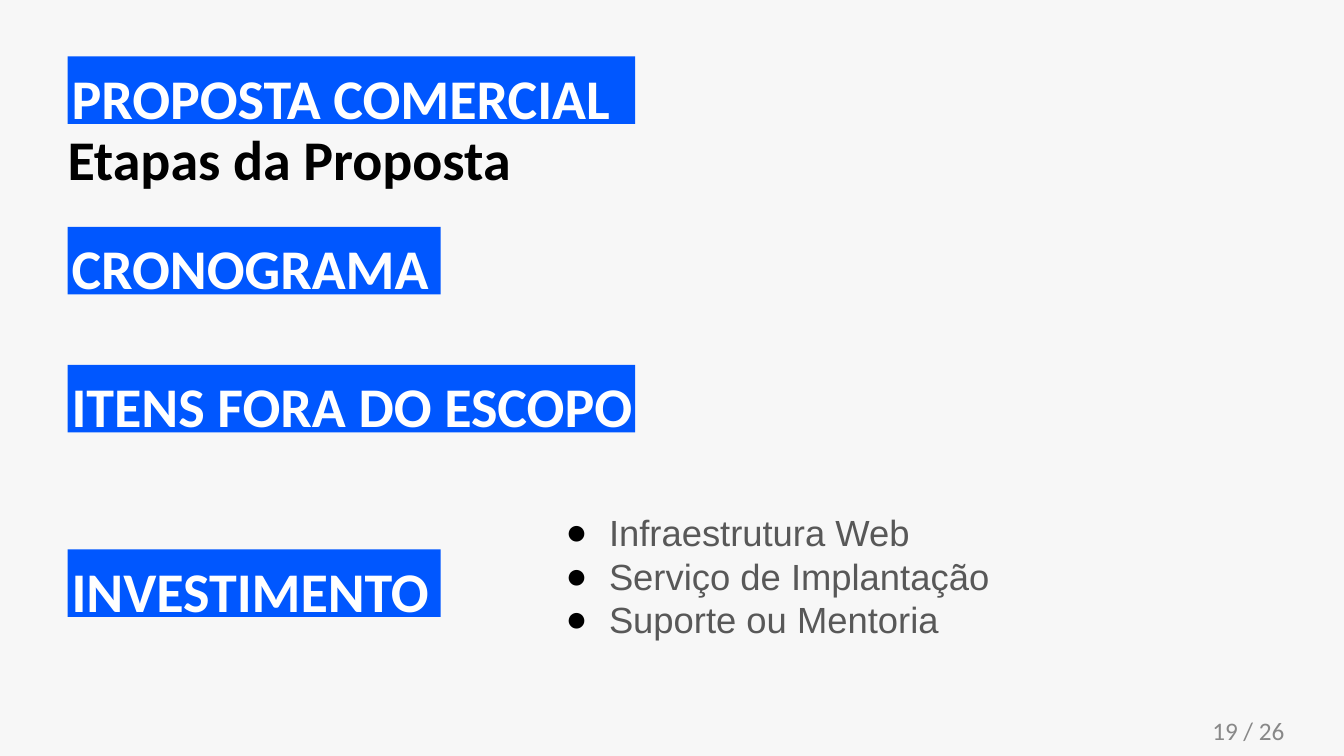
from lxml import etree
from pptx import Presentation
from pptx import util as u
from pptx.dml.color import RGBColor
from pptx.enum import shapes, text
from pptx.oxml.ns import qn

BLUE = RGBColor(0x00, 0x57, 0xFF)
WHITE = RGBColor(0xFF, 0xFF, 0xFF)
BLACK = RGBColor(0x00, 0x00, 0x00)
GREY = RGBColor(0x58, 0x58, 0x58)
LIGHT_GREY = RGBColor(0x88, 0x88, 0x88)
BACKGROUND = RGBColor(0xF7, 0xF7, 0xF7)

HEADING = {"name": "Calibri", "size": u.Pt(40), "bold": True}
ITEM = {"name": "Arial", "size": u.Pt(26), "bold": False}
FOOTER = {"name": "Calibri", "size": u.Pt(18), "bold": False}

LEFT = 0.67
BANNER_HEIGHT = 0.67
WIDE, NARROW = 5.63, 3.7
BANNERS = [
    ("PROPOSTA COMERCIAL", 0.56, WIDE),
    ("CRONOGRAMA", 2.25, NARROW),
    ("ITENS FORA DO ESCOPO", 3.62, WIDE),
    ("INVESTIMENTO", 5.45, NARROW),
]
ITEMS = ["Infraestrutura Web", "Serviço de Implantação", "Suporte ou Mentoria"]


class ProposalSlide:
    def __init__(self, deck):
        self.page = deck.slides.add_slide(deck.slide_layouts[5])
        fill = self.page.background.fill
        fill.solid()
        fill.fore_color.rgb = BACKGROUND

    def prepare(self, box, top_inset=0, wrap=True):
        frame = box.text_frame
        settings = {
            "margin_left": 0,
            "margin_right": 0,
            "margin_top": u.Inches(top_inset),
            "margin_bottom": 0,
            "word_wrap": wrap,
            "auto_size": text.MSO_AUTO_SIZE.NONE,
            "vertical_anchor": text.MSO_ANCHOR.TOP,
        }
        for name, value in settings.items():
            setattr(frame, name, value)
        return frame

    def add_words(self, para, words, style, color, align=text.PP_ALIGN.LEFT):
        para.alignment = align
        span = para.add_run()
        span.text = words
        for name, value in style.items():
            setattr(span.font, name, value)
        span.font.color.rgb = color

    def title(self, words, *place):
        box = self.page.shapes.title
        for name, value in zip(("left", "top", "width", "height"), place):
            setattr(box, name, u.Inches(value))
        frame = self.prepare(box, top_inset=0.01)
        self.add_words(frame.paragraphs[0], words, HEADING, BLACK)

    def banner(self, words, top, width):
        place = map(u.Inches, (LEFT, top, width, BANNER_HEIGHT))
        box = self.page.shapes.add_shape(shapes.MSO_SHAPE.RECTANGLE, *place)
        box.shadow.inherit = False
        box.fill.solid()
        box.fill.fore_color.rgb = BLUE
        box.line.fill.background()
        para = self.prepare(box).paragraphs[0]
        para.line_spacing = 1.1
        para._p.get_or_add_pPr().set("marL", str(u.Inches(0.04)))
        self.add_words(para, words, HEADING, WHITE)

    def text_box(self, *place):
        box = self.page.shapes.add_textbox(*map(u.Inches, place))
        return self.prepare(box)

    def bullets(self, items, *place):
        frame = self.text_box(*place)
        for index, words in enumerate(items):
            para = frame.add_paragraph() if index else frame.paragraphs[0]
            props = para._p.get_or_add_pPr()
            props.set("marL", str(u.Inches(0.5)))
            props.set("indent", str(u.Inches(-0.43)))
            color = etree.SubElement(props, qn("a:buClr"))
            etree.SubElement(color, qn("a:srgbClr"), val=str(BLACK))
            etree.SubElement(props, qn("a:buFont"), typeface="Arial")
            etree.SubElement(props, qn("a:buChar"), char="●")
            self.add_words(para, words, ITEM, GREY)

    def page_number(self, words, *place):
        para = self.text_box(*place).paragraphs[0]
        self.add_words(para, words, FOOTER, LIGHT_GREY, text.PP_ALIGN.RIGHT)


def main():
    deck = Presentation()
    deck.slide_width = u.Inches(13.33)
    deck.slide_height = u.Inches(7.5)
    slide = ProposalSlide(deck)
    slide.title("Etapas da Proposta", LEFT, 1.23, 4.49, 0.69)
    for words, top, width in BANNERS:
        slide.banner(words, top, width)
    slide.bullets(ITEMS, 5.54, 5.06, 5.39, 1.55)
    slide.page_number("19 / 26", 9.67, 7.1, 3.07, 0.3)
    deck.save("out.pptx")


if __name__ == "__main__":
    main()
